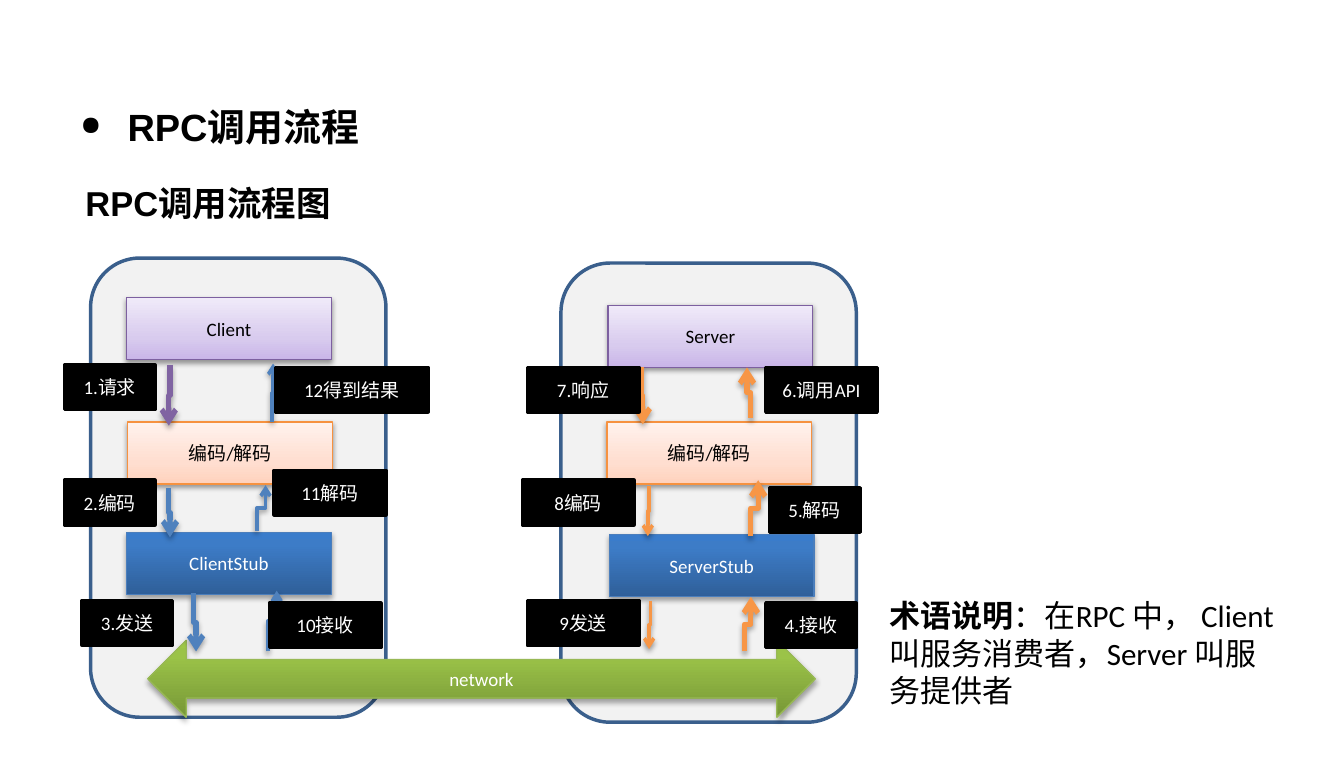
import dataclasses

import pptx
import pptx.dml.color
import pptx.enum.dml
import pptx.enum.shapes
import pptx.enum.text
import pptx.oxml
import pptx.oxml.ns
import pptx.util
from lxml import etree

Inches = pptx.util.Inches
Pt = pptx.util.Pt
SHAPES = pptx.enum.shapes.MSO_SHAPE
qn = pptx.oxml.ns.qn


@dataclasses.dataclass(frozen=True)
class Finish:
    stops: tuple
    line: str
    text: str
    shadow: tuple


SOFT_SHADOW = (38, 1.6)
DEEP_SHADOW = (35, 1.8)


@dataclasses.dataclass(frozen=True)
class Theme:
    latin: str = "Calibri"
    heading: str = "Arial"
    black: str = "000000"
    white: str = "FFFFFF"
    panel: str = "F2F2F2"
    panel_line: str = "3A5F8C"
    purple: str = "8064A2"
    blue: str = "4F81BD"
    orange: str = "F79646"
    title_size: int = 22
    subtitle_size: int = 20
    note_size: int = 18
    label_size: int = 11
    endpoint: Finish = Finish(((0, "C9B5E8"), (35, "D8CBEE"), (100, "F0EAF9")),
                              "7D60A0", "000000", SOFT_SHADOW)
    codec: Finish = Finish(((0, "FFD2BD"), (35, "FFDED0"), (100, "FFF2ED")),
                           "F69240", "000000", SOFT_SHADOW)
    stub: Finish = Finish(((0, "2F5F99"), (80, "3D7CC7"), (100, "3A7CCB")),
                          "4B7EBC", "FFFFFF", DEEP_SHADOW)
    network: Finish = Finish(((0, "779737"), (80, "9BC348"), (100, "9DC746")),
                             "98B955", "FFFFFF", DEEP_SHADOW)


THEME = Theme()

LAYERS = [
    (1.02, 2.4, "Client", THEME.endpoint),
    (4.9, 2.46, "Server", THEME.endpoint),
    (1.03, 3.4, "编码/解码", THEME.codec),
    (4.89, 3.4, "编码/解码", THEME.codec),
    (1.02, 4.29, "ClientStub", THEME.stub),
    (4.91, 4.31, "ServerStub", THEME.stub),
]
CALLS = [
    ((1.37, 2.94), (1.36, 3.43), THEME.purple, 3),
    ((1.36, 3.93), (1.37, 4.33), THEME.blue, 3),
    ((6.05, 4.32), (6.11, 3.87), THEME.orange, 3),
    ((6.05, 3.37), (6.02, 2.96), THEME.orange, 3),
    ((5.17, 2.96), (5.18, 3.42), THEME.orange, 3),
    ((5.23, 3.92), (5.22, 4.32), THEME.orange, 2),
    ((2.07, 4.28), (2.14, 3.91), THEME.blue, 2),
    ((2.19, 3.4), (2.2, 2.93), THEME.blue, 2),
    ((1.56, 4.78), (1.58, 5.25), THEME.blue, 3),
    ((2.16, 5.25), (2.23, 4.76), THEME.blue, 2),
    ((5.24, 4.84), (5.23, 5.23), THEME.orange, 2),
    ((6, 5.25), (6.05, 4.81), THEME.orange, 3),
]
STEPS = [
    (0.52, 2.94, 0.73, "1.请求"),
    (0.52, 3.87, 0.73, "2.编码"),
    (0.66, 4.84, 0.73, "3.发送"),
    (6.17, 4.86, 0.73, "4.接收"),
    (6.2, 3.93, 0.73, "5.解码"),
    (6.17, 2.96, 0.9, "6.调用API"),
    (4.25, 2.96, 0.9, "7.响应"),
    (4.21, 3.87, 0.9, "8编码"),
    (4.25, 4.84, 0.9, "9发送"),
    (2.17, 4.86, 0.9, "10接收"),
    (2.21, 3.79, 0.9, "11解码"),
    (2.22, 2.96, 1.23, "12得到结果"),
]


def rgb(value):
    return pptx.dml.color.RGBColor.from_string(value)


def style_font(paragraph, family, size, color, bold=None):
    paragraph.font.name = family
    paragraph.font.size = Pt(size)
    paragraph.font.color.rgb = rgb(color)
    paragraph.font.bold = bold


def add_shadow(effects, alpha, distance):
    shadow = etree.SubElement(effects, qn("a:outerShdw"), blurRad=str(Pt(3.1)),
                              dist=str(Pt(distance)), dir="5400000", rotWithShape="0")
    tint = etree.SubElement(shadow, qn("a:srgbClr"), val=THEME.black)
    etree.SubElement(tint, qn("a:alpha"), val=str(alpha * 1000))


def add_box(slide, kind, place, line, line_width, fill=None, text="", color=THEME.white):
    box = slide.shapes.add_shape(kind, *map(Inches, place))
    box.shadow.inherit = False
    if fill:
        box.fill.solid()
        box.fill.fore_color.rgb = rgb(fill)
    box.line.color.rgb = rgb(line)
    box.line.width = Pt(line_width)
    if text:
        paragraph = box.text_frame.paragraphs[0]
        paragraph.text = text
        paragraph.alignment = pptx.enum.text.PP_ALIGN.CENTER
        style_font(paragraph, THEME.latin, THEME.label_size, color)
    return box


def add_glossy_box(slide, kind, place, text, finish):
    box = add_box(slide, kind, place, finish.line, 0.75, text=text, color=finish.text)
    box.fill.gradient()
    box.fill.gradient_angle = 90
    stops = box.element.spPr.find(".//" + qn("a:gsLst"))
    for stop in list(stops):
        stops.remove(stop)
    for position, color in finish.stops:
        stop = etree.SubElement(stops, qn("a:gs"), pos=str(position * 1000))
        etree.SubElement(stop, qn("a:srgbClr"), val=color)
    add_shadow(box.element.spPr.find(qn("a:effectLst")), *finish.shadow)


def add_call(slide, start, end, color, width):
    (x1, y1), (x2, y2) = start, end
    mid_x, mid_y = (x1 + x2) / 2, (y1 + y2) / 2
    half_x, half_y = (x2 - x1) / 2, (y2 - y1) / 2
    ends = (mid_x - half_y, mid_y + half_x, mid_x + half_y, mid_y - half_x)
    call = slide.shapes.add_connector(pptx.enum.shapes.MSO_CONNECTOR.ELBOW,
                                      *map(Inches, ends))
    call.line.color.rgb = rgb(color)
    call.line.width = Pt(width)
    properties = call.element.spPr
    properties.find(qn("a:xfrm")).set("rot", "5400000")
    etree.SubElement(properties.find(qn("a:ln")), qn("a:tailEnd"), type="arrow")
    effects = etree.SubElement(properties, qn("a:effectLst"))
    add_shadow(effects, *(DEEP_SHADOW if width == 3 else SOFT_SHADOW))


def add_text(slide, place, text):
    frame = slide.shapes.add_textbox(*map(Inches, place)).text_frame
    frame.word_wrap = True
    paragraph = frame.paragraphs[0]
    paragraph.text = text
    return paragraph


def add_bullet(paragraph):
    properties = paragraph._p.get_or_add_pPr()
    properties.set("marL", str(Inches(0.38)))
    properties.set("indent", str(Inches(-0.38)))
    tint = etree.SubElement(properties, qn("a:buClr"))
    etree.SubElement(tint, qn("a:srgbClr"), val=THEME.black)
    etree.SubElement(properties, qn("a:buSzPct"), val="70000")
    etree.SubElement(properties, qn("a:buChar"), char="●")


def main():
    deck = pptx.Presentation()
    deck.slide_width, deck.slide_height = Inches(10.83), Inches(6.14)
    slide = deck.slides.add_slide(deck.slide_layouts[6])

    title = add_text(slide, (0.55, 0.83, 8.61, 0.43), "RPC调用流程")
    add_bullet(title)
    title.line_spacing = 0.9
    style_font(title, THEME.heading, THEME.title_size, THEME.black, True)
    subtitle = add_text(slide, (0.59, 1.42, 9.86, 0.44), "RPC调用流程图")
    style_font(subtitle, THEME.heading, THEME.subtitle_size, THEME.black, True)

    for left, top in ((0.73, 2.08), (4.52, 2.12)):
        add_box(slide, SHAPES.ROUNDED_RECTANGLE, (left, top, 2.38, 3.7),
                THEME.panel_line, 2, THEME.panel)
    for left, top, text, finish in LAYERS:
        add_glossy_box(slide, SHAPES.RECTANGLE, (left, top, 1.65, 0.5), text, finish)
    add_glossy_box(slide, SHAPES.LEFT_RIGHT_ARROW, (1.19, 5.16, 5.38, 0.62),
                   "network", THEME.network)
    for call in CALLS:
        add_call(slide, *call)

    terms = add_text(slide, (7.07, 4.76, 3.39, 1.01), "术语说明")
    terms.runs[0].font.bold = True
    terms.add_run().text = "：在RPC 中， Client 叫服务消费者，Server 叫服务提供者"
    style_font(terms, THEME.latin, THEME.note_size, THEME.black)

    for left, top, width, text in STEPS:
        add_box(slide, SHAPES.RECTANGLE, (left, top, width, 0.36),
                THEME.black, 2, THEME.black, text)
    deck.save("out.pptx")


if __name__ == "__main__":
    main()
